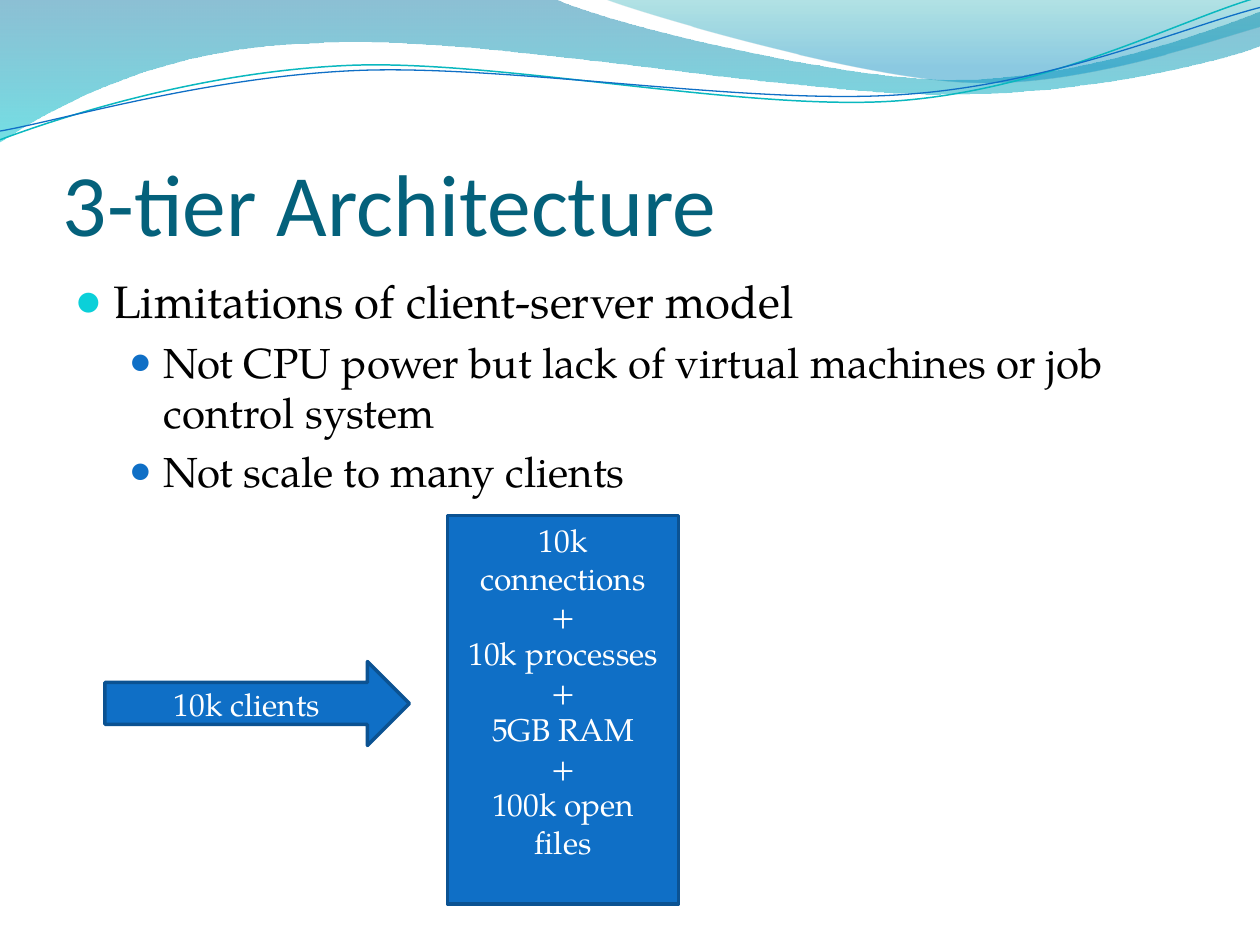
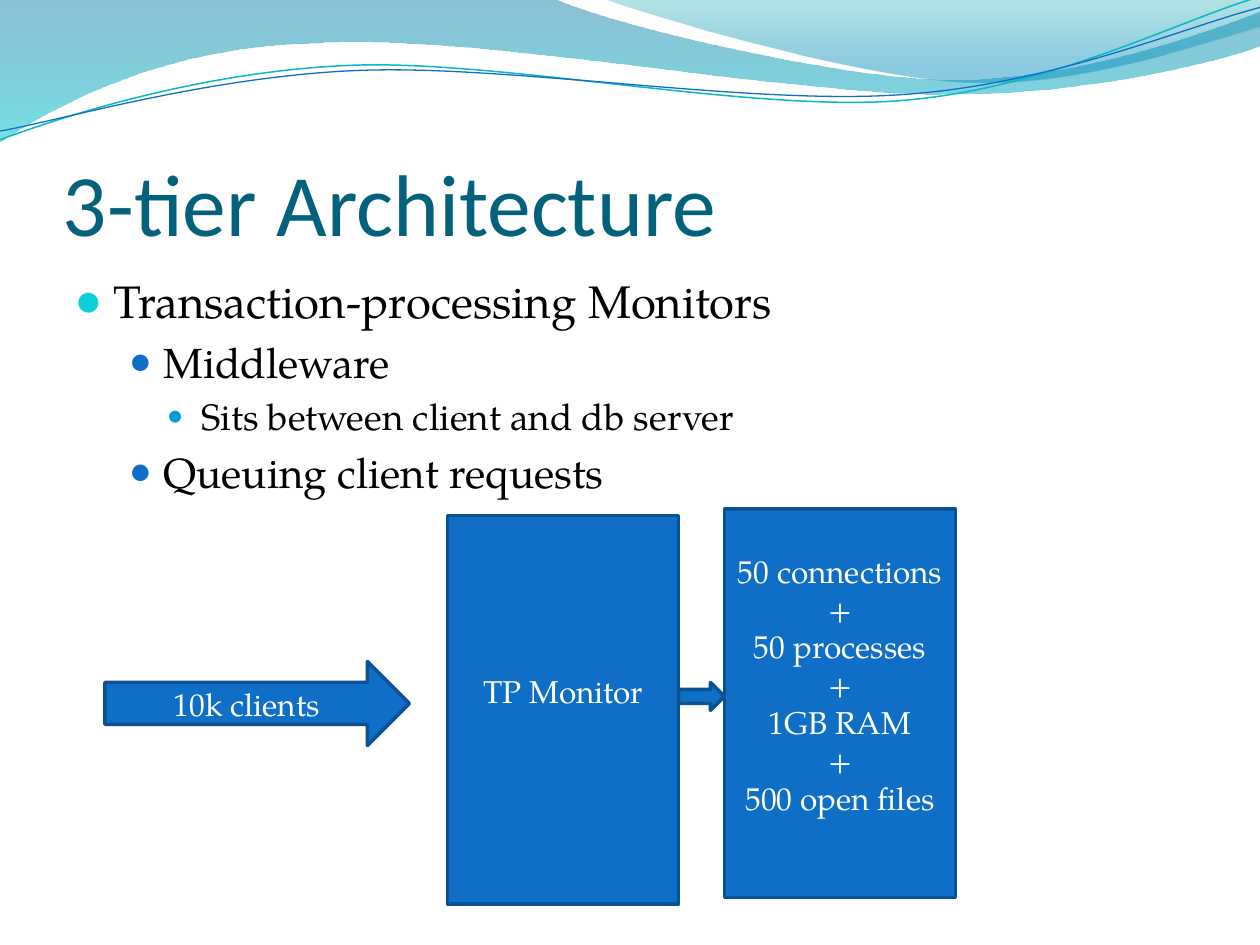
import dataclasses
import math

import lxml.etree
import pptx
import pptx.dml.color
import pptx.enum.shapes
import pptx.enum.text
import pptx.oxml.ns
import pptx.util

Pt = pptx.util.Pt
Shape = pptx.enum.shapes.MSO_SHAPE
Anchor = pptx.enum.text.MSO_ANCHOR
Align = pptx.enum.text.PP_ALIGN
qn = pptx.oxml.ns.qn


@dataclasses.dataclass(frozen=True)
class Level:
    size: float
    left: float
    hang: float
    code: str
    scale: int


@dataclasses.dataclass(frozen=True)
class Theme:
    head_font: str = "Calibri"
    text_font: str = "TeX Gyre Pagella"
    head: str = "04617B"
    ink: str = "000000"
    light: str = "FFFFFF"
    fill: str = "0F6FC6"
    edge: str = "0B5292"
    teal: str = "0AB8BF"
    band: tuple = ((0, "0074A1", 45), (1, "00C6CF", 55))
    fan: tuple = ((0, "00A1A9", 30), (0.8, "008BBF", 45))
    head_size: float = 50
    box_size: float = 18
    box_line: float = 21.6
    edge_width: float = 2
    levels: tuple = (
        Level(26, 21.6, 21.6, "0BD0D9", 95),
        Level(24, 50.4, 19.44, "0F6FC6", 85),
        Level(21, 72, 19.44, "009DD9", 70),
    )


THEME = Theme()
PAD = 3.6
BOX_SIZE = (132, 222)
HUB_LEFT, HUB_TOP = 255.8, 294.6
HOST_LEFT, HOST_TOP = 414, 290.8
WAVE_TURN = 357.3
WAVE_HUB = (360, 41)

BAND = [
    (0, 0), (316.8, -0.7),
    (342.7, 12.2, 478.1, 45.4, 545.8, 45.4),
    (614.2, 45.4, 689.8, 18.7, 720, 6.5),
    (720.7, 25.9),
    (707.8, 31.7, 626.4, 54.7, 537.1, 54),
    (447.8, 54, 275, 20.2, 185, 24.5),
    (92.9, 25.9, 33.1, 59.8, -0.7, 81.4),
    (0, 0),
]
FAN = [
    (344.9, -0.7),
    (366.5, 7.9, 491, 44.6, 553.7, 46.8),
    (616.3, 49.7, 691.9, 23, 720, 15.1),
    (720, 0), (344.9, -0.7),
]
TEAL_WAVE = [
    (0, 79.9),
    (34.6, 67, 113.8, 41, 199.4, 37.4),
    (284.4, 33.8, 427, 64.1, 513.4, 57.6),
    (599.8, 51.1, 675.4, 10.8, 718.6, -1.4),
]
BLUE_WAVE = [
    (0, 74.9),
    (33.8, 69.1, 118.1, 43.9, 203.8, 40.3),
    (290.2, 36.7, 429.8, 60.5, 516.2, 54),
    (601.9, 48.2, 677.5, 15.1, 720, 4.3),
]


def tint(code):
    return pptx.dml.color.RGBColor.from_string(code)


def add_node(parent, tag, **attrs):
    return lxml.etree.SubElement(parent, qn(tag), **attrs)


def pairs(part):
    return list(zip(part[::2], part[1::2]))


def add_path(slide, curve, close):
    ends = [(Pt(x), Pt(y)) for x, y in (part[-2:] for part in curve)]
    pen = slide.shapes.build_freeform(*ends[0])
    pen.add_line_segments(ends[1:], close=close)
    shape = pen.convert_to_shape()
    shape.shadow.inherit = False
    for node, part in zip(shape.element.xpath(".//a:lnTo"), curve[1:]):
        if len(part) == 6:
            bend = lxml.etree.Element(qn("a:cubicBezTo"))
            for x, y in pairs(part):
                add_node(bend, "a:pt", x=str(Pt(x) - shape.left), y=str(Pt(y) - shape.top))
            node.getparent().replace(node, bend)
    return shape


def add_band(slide, curve, stops):
    shape = add_path(slide, curve, True)
    shape.line.fill.background()
    shape.fill.gradient()
    shape.fill.gradient_angle = 270
    for stop, (place, code, alpha) in zip(shape.fill.gradient_stops, stops):
        stop.position = place
        stop.color.rgb = tint(code)
    for node, (place, code, alpha) in zip(shape.element.xpath(".//a:gs/a:srgbClr"), stops):
        add_node(node, "a:alpha", val=str(alpha * 1000))


def turn(x, y):
    angle = math.radians(360 - WAVE_TURN)
    x, y = x - WAVE_HUB[0], y - WAVE_HUB[1]
    return (WAVE_HUB[0] + x * math.cos(angle) - y * math.sin(angle),
            WAVE_HUB[1] + x * math.sin(angle) + y * math.cos(angle))


def add_wave(slide, curve, code, width):
    level = [sum((turn(x, y) for x, y in pairs(part)), ()) for part in curve]
    shape = add_path(slide, level, False)
    shape.rotation = WAVE_TURN
    shape.fill.background()
    shape.line.color.rgb = tint(code)
    shape.line.width = Pt(width)


def set_font(para, name, size, code):
    para.font.name = name
    para.font.size = Pt(size)
    para.font.color.rgb = tint(code)


def add_frame(slide, left, top, width, height):
    frame = slide.shapes.add_textbox(Pt(left), Pt(top), Pt(width), Pt(height)).text_frame
    frame.word_wrap = True
    return frame


def add_title(slide, text):
    frame = add_frame(slide, 36, 55.4, 648, 90)
    frame.vertical_anchor = Anchor.BOTTOM
    frame.margin_left = frame.margin_right = frame.margin_bottom = 0
    frame.text = text
    set_font(frame.paragraphs[0], THEME.head_font, THEME.head_size, THEME.head)


def set_bullet(para, level):
    props = para._p.get_or_add_pPr()
    props.set("marL", str(Pt(level.left)))
    props.set("indent", str(-Pt(level.hang)))
    add_node(add_node(props, "a:spcBef"), "a:spcPct", val="20000")
    add_node(add_node(props, "a:buClr"), "a:srgbClr", val=level.code)
    add_node(props, "a:buSzPct", val=str(level.scale * 1000))
    add_node(props, "a:buFont", typeface=THEME.head_font)
    add_node(props, "a:buChar", char="●")


def add_list(slide, items):
    frame = add_frame(slide, 36, 152.6, 648, 345.6)
    frame.text = "\n".join(text for depth, text in items)
    for para, (depth, text) in zip(frame.paragraphs, items):
        level = THEME.levels[depth]
        para.level = depth
        set_bullet(para, level)
        set_font(para, THEME.text_font, level.size, THEME.ink)


def add_block(slide, kind, left, top, width, height, lines=(), lift=0):
    shape = slide.shapes.add_shape(kind, Pt(left), Pt(top), Pt(width), Pt(height))
    shape.shadow.inherit = False
    shape.fill.solid()
    shape.fill.fore_color.rgb = tint(THEME.fill)
    shape.line.color.rgb = tint(THEME.edge)
    shape.line.width = Pt(THEME.edge_width)
    if lines:
        frame = shape.text_frame
        frame.word_wrap = True
        frame.vertical_anchor = Anchor.MIDDLE
        frame.margin_bottom = Pt(PAD + lift)
        frame.text = "\n".join(lines)
        for para in frame.paragraphs:
            para.alignment = Align.CENTER
            set_font(para, THEME.text_font, THEME.box_size, THEME.light)


def add_box(slide, left, top, lines):
    add_block(slide, Shape.RECTANGLE, left, top, *BOX_SIZE, lines, THEME.box_line)


def add_load(slide, left, top, loads):
    add_box(slide, left, top, "\n+\n".join(loads).split("\n"))


def add_page(deck, items):
    slide = deck.slides.add_slide(deck.slide_layouts[6])
    add_band(slide, BAND, THEME.band)
    add_band(slide, FAN, THEME.fan)
    add_wave(slide, TEAL_WAVE, THEME.teal, 0.85)
    add_wave(slide, BLUE_WAVE, THEME.fill, 0.75)
    add_title(slide, "3-tier Architecture")
    add_list(slide, items)
    add_block(slide, Shape.RIGHT_ARROW, 60, 378, 174, 48, ["10k clients"])
    return slide


def main():
    deck = pptx.Presentation()
    deck.slide_width, deck.slide_height = Pt(720), Pt(540)

    limits = add_page(deck, [
        (0, "Limitations of client-server model"),
        (1, "Not CPU power but lack of virtual machines or job control system"),
        (1, "Not scale to many clients"),
    ])
    add_load(limits, HUB_LEFT, HUB_TOP,
             ["10k connections", "10k processes", "5GB RAM", "100k open files"])

    middle = add_page(deck, [
        (0, "Transaction-processing Monitors"),
        (1, "Middleware"),
        (2, "Sits between client and db server"),
        (1, "Queuing client requests"),
    ])
    add_box(middle, HUB_LEFT, HUB_TOP, ["TP Monitor"])
    add_load(middle, HOST_LEFT, HOST_TOP,
             ["50 connections", "50 processes", "1GB RAM", "500 open files"])
    hub_right = HUB_LEFT + BOX_SIZE[0]
    add_block(middle, Shape.RIGHT_ARROW, hub_right, 390, HOST_LEFT - hub_right, 16)

    deck.save("out.pptx")


if __name__ == "__main__":
    main()
